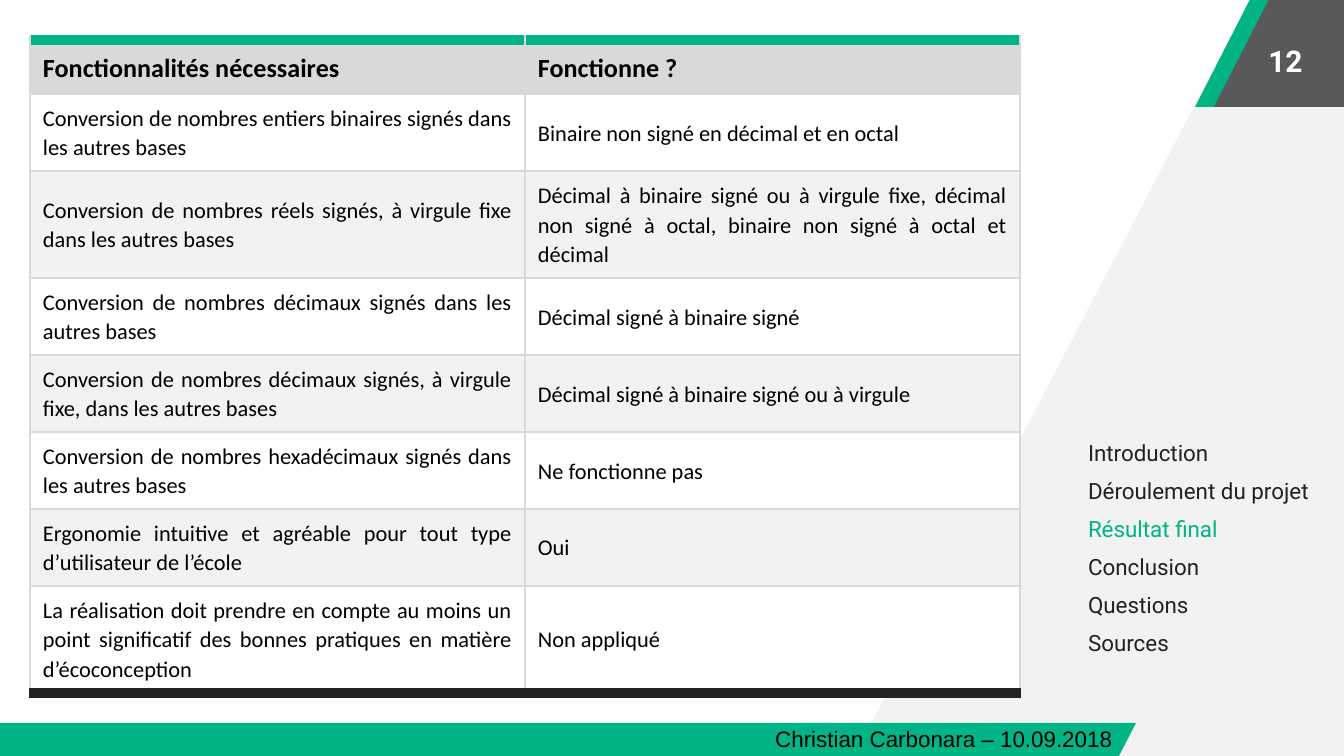
from lxml import etree
from pptx import Presentation
from pptx.dml.color import RGBColor
from pptx.enum.shapes import MSO_SHAPE
from pptx.enum.text import MSO_ANCHOR, MSO_AUTO_SIZE, PP_ALIGN
from pptx.oxml.ns import qn
from pptx.util import Pt

PARALLELOGRAM = MSO_SHAPE.PARALLELOGRAM
MIDDLE, TOP = MSO_ANCHOR.MIDDLE, MSO_ANCHOR.TOP
CENTER, JUSTIFY, LEFT = PP_ALIGN.CENTER, PP_ALIGN.JUSTIFY, PP_ALIGN.LEFT
NO_AUTOFIT = MSO_AUTO_SIZE.NONE

PX = 914400 / 134.4
GREEN, DARK, BLACK, WHITE = "00B485", "222222", "000000", "FFFFFF"
PALE, GRID, SLATE = "F2F2F2", "D9D9D9", "595959"


def paint(color_holder, color):
    """Give a fill or a font a solid colour from a hex string."""
    if hasattr(color_holder, "solid"):
        color_holder.solid()
        color_holder.fore_color.rgb = RGBColor.from_string(color)
    else:
        color_holder.color.rgb = RGBColor.from_string(color)


def write(paragraph, text, color, font, spacing):
    """Fill a paragraph with one run and set its font and paragraph formats."""
    run = paragraph.add_run()
    run.text = text
    paint(run.font, color)
    for target, values in ((run.font, font), (paragraph, spacing)):
        for key, value in values.items():
            setattr(target, key, value)


prs = Presentation()
prs.slide_width, prs.slide_height = round(1344 * PX), round(756 * PX)
slide = prs.slides.add_slide(prs.slide_layouts[1])
shapes = slide.shapes
title = shapes.title.element
title.getparent().remove(title)

# Slanted background
builder = shapes.build_freeform(849, 766, scale=PX)
builder.add_line_segments([(1262, -23), (1359, -23), (1353, 770)])
panel = builder.convert_to_shape()
decor = [(panel, PALE)]
for color, box, slant in [
    (SLATE, (1207, -3, 258, 110), 0.515),
    (GREEN, (1195, -3, 75, 110), 0.75),
    (GREEN, (-94, 723, 1230, 34), 0.515),
]:
    band = shapes.add_shape(PARALLELOGRAM, *[round(v * PX) for v in box])
    band.adjustments[0] = slant
    decor.append((band, color))
for band, color in decor:
    paint(band.fill, color)
    band.line.fill.background()
    band.shadow.inherit = False

# Footer and page number
footer = shapes.add_textbox(*[round(v * PX) for v in (762, 719, 371, 40)])
footer.text_frame.word_wrap = True
write(footer.text_frame.paragraphs[0], "Christian Carbonara – 10.09.2018", BLACK,
      {"size": Pt(12), "name": "Arial"}, {})

page_number = shapes.add_textbox(*[round(v * PX) for v in (1242, 7, 87, 108)])
page_number.text_frame.word_wrap = True
page_number.text_frame.vertical_anchor = MIDDLE
write(page_number.text_frame.paragraphs[0], "12", WHITE,
      {"size": Pt(16), "name": "Roboto", "bold": True}, {"alignment": CENTER})

# Chapter menu, in front of the background
menu = slide.placeholders[1]
menu.left, menu.top, menu.width, menu.height = [
    round(v * PX) for v in (1070, 426, 274, 298)]
menu.element.getparent().append(menu.element)
inset = round(13 * PX)
menu_format = {"word_wrap": True, "auto_size": NO_AUTOFIT, "vertical_anchor": TOP,
               "margin_left": inset, "margin_right": inset,
               "margin_top": inset, "margin_bottom": inset}
for key, value in menu_format.items():
    setattr(menu.text_frame, key, value)
chapters = ["Introduction", "Déroulement du projet", "Résultat final",
            "Conclusion", "Questions", "Sources"]
current_chapter = "Résultat final"
for i, chapter in enumerate(chapters):
    entry = menu.text_frame.add_paragraph() if i else menu.text_frame.paragraphs[0]
    write(entry, chapter, GREEN if chapter == current_chapter else DARK,
          {"size": Pt(12), "name": "Roboto"},
          {"space_before": Pt(6), "alignment": LEFT})
    properties = entry._p.get_or_add_pPr()
    properties.set("marL", str(round(5 * PX)))
    properties.set("indent", "0")
    etree.SubElement(properties, qn("a:buNone"))

# Table of features
features = [
    ("Fonctionnalités nécessaires", "Fonctionne ?"),
    ("Conversion de nombres entiers binaires signés dans les autres bases",
     "Binaire non signé en décimal et en octal"),
    ("Conversion de nombres réels signés, à virgule fixe dans les autres bases",
     "Décimal à binaire signé ou à virgule fixe, décimal non signé à octal, "
     "binaire non signé à octal et décimal"),
    ("Conversion de nombres décimaux signés dans les autres bases",
     "Décimal signé à binaire signé"),
    ("Conversion de nombres décimaux signés, à virgule fixe, dans les autres bases",
     "Décimal signé à binaire signé ou à virgule"),
    ("Conversion de nombres hexadécimaux signés dans les autres bases",
     "Ne fonctionne pas"),
    ("Ergonomie intuitive et agréable pour tout type d’utilisateur de l’école", "Oui"),
    ("La réalisation doit prendre en compte au moins un point significatif "
     "des bonnes pratiques en matière d’écoconception", "Non appliqué"),
]
row_heights = [54, 77, 107, 77, 77, 77, 77, 107]
last = len(features) - 1
table = shapes.add_table(len(features), 2, *[
    round(v * PX) for v in (30, 40, 990, sum(row_heights))]).table
table.first_row = table.horz_banding = False
for column in table.columns:
    column.width = round(495 * PX)

cell_format = {"vertical_anchor": MIDDLE,
               "margin_left": round(13 * PX), "margin_right": round(13 * PX),
               "margin_top": round(9 * PX), "margin_bottom": round(9 * PX)}
for r, texts in enumerate(features):
    table.rows[r].height = round(row_heights[r] * PX)
    header = r == 0
    borders = {"lnL": (GRID, 1), "lnR": (GRID, 1),
               "lnT": (GREEN, 6) if header else (GRID, 1),
               "lnB": (DARK, 6) if r == last else (GRID, 1)}
    for c, text in enumerate(texts):
        cell = table.cell(r, c)
        for key, value in cell_format.items():
            setattr(cell, key, value)
        paint(cell.fill, GRID if header else (WHITE if r % 2 else PALE))
        write(cell.text_frame.paragraphs[0], text, BLACK,
              {"size": Pt(14 if header else 12), "name": "Calibri", "bold": header},
              {"alignment": LEFT if header else JUSTIFY,
               "line_spacing": 1.07, "space_after": Pt(8)})
        properties = cell._tc.get_or_add_tcPr()
        for position, (side, (color, width)) in enumerate(borders.items()):
            border = etree.Element(qn("a:" + side), w=str(Pt(width)))
            fill = etree.SubElement(border, qn("a:solidFill"))
            etree.SubElement(fill, qn("a:srgbClr"), val=color)
            properties.insert(position, border)

prs.save("out.pptx")
